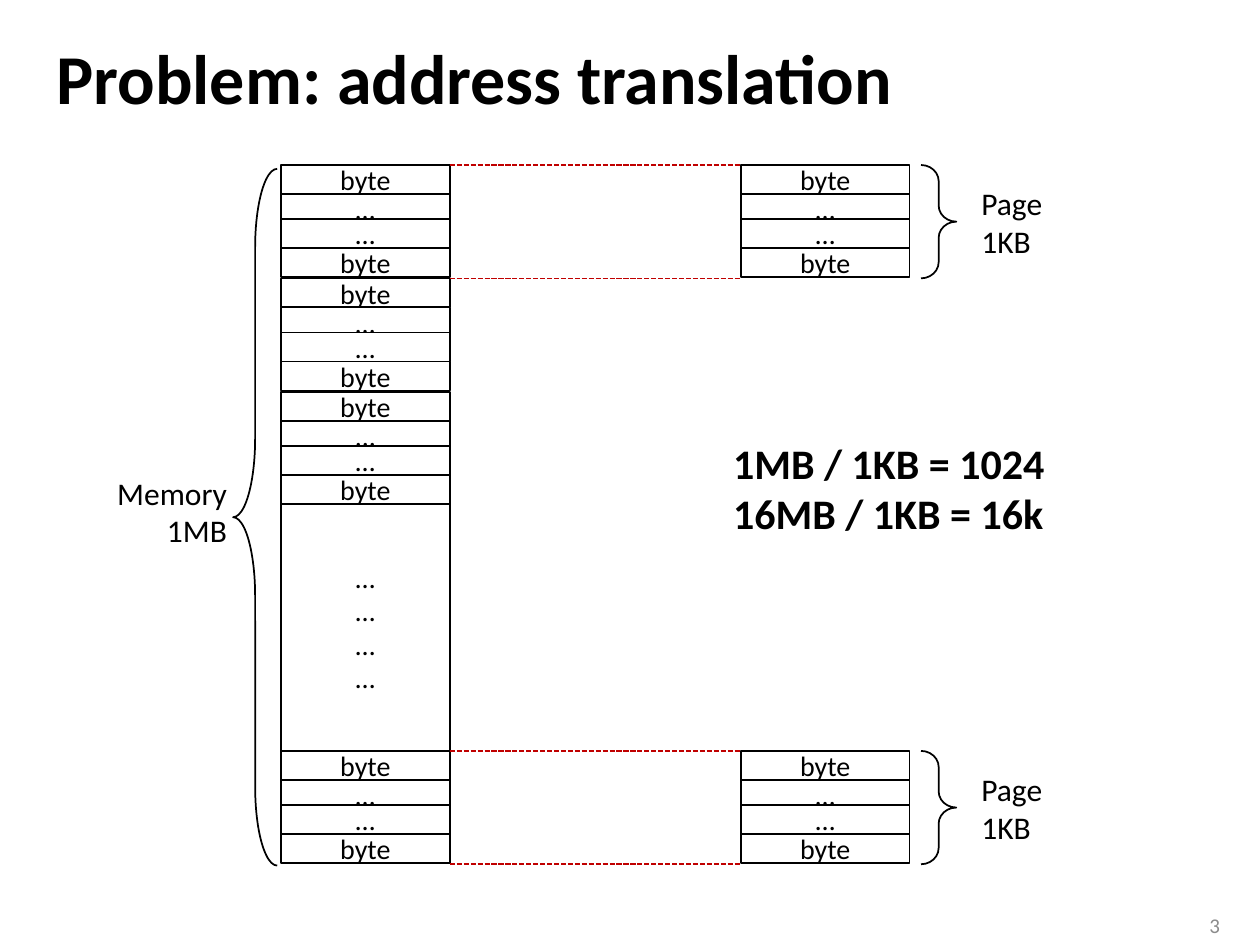
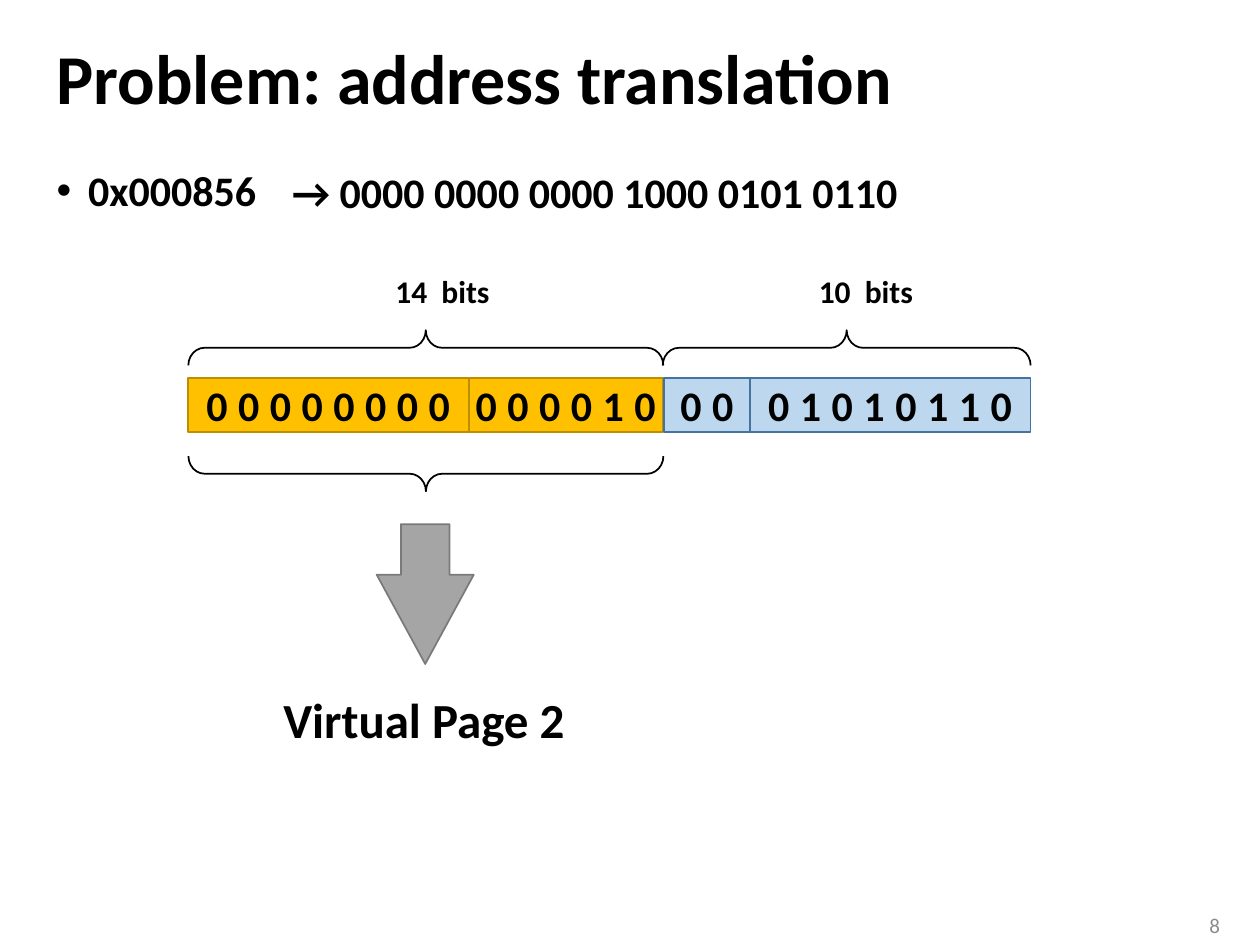
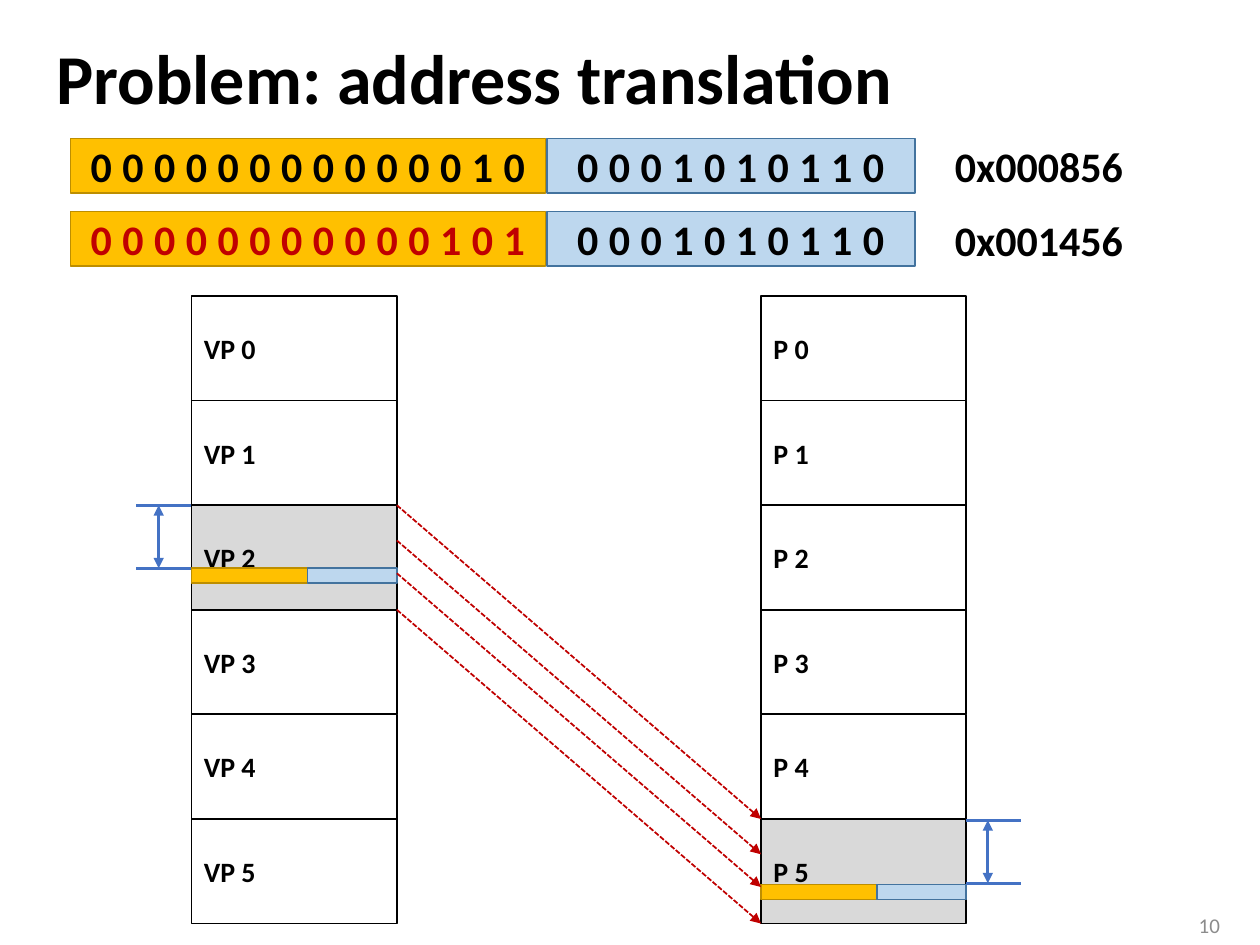
from dataclasses import dataclass

from lxml import etree
from pptx import Presentation
from pptx import util as u
from pptx.dml.color import RGBColor
from pptx.enum import dml, shapes, text
from pptx.oxml import ns


@dataclass(frozen=True)
class Theme:
    font: str = "Calibri"
    ink: str = "000000"
    paper: str = "FFFFFF"
    muted: str = "8C8C8C"
    red: str = "C00000"
    blue: str = "4472C4"
    shaded: str = "D9D9D9"
    page_bits: tuple = ("FFC000", "BD8E00")
    offset_bits: tuple = ("BDD7EE", "43739E")
    arrow: tuple = ("A5A5A5", "7A7A7A")
    title: int = 40
    result: int = 28
    body: int = 24
    label: int = 18
    cell: int = 16
    footer: int = 12


T = Theme()
KIND = shapes.MSO_SHAPE
LEFT, CENTER, RIGHT = text.PP_ALIGN.LEFT, text.PP_ALIGN.CENTER, text.PP_ALIGN.RIGHT
TOP, MIDDLE = text.MSO_ANCHOR.TOP, text.MSO_ANCHOR.MIDDLE


def block(slide, kind, box, lines=(), colors=None, size=T.cell, bold=False, ink=T.ink,
          align=LEFT, anchor=MIDDLE, wrap=True, spacing=0, adjust=(), turn=0):
    """Add a preset shape, or a plain text box when kind is None."""
    place = [u.Inches(v) for v in box]
    if kind is None:
        item = slide.shapes.add_textbox(*place)
    else:
        item = slide.shapes.add_shape(kind, *place)
        item.shadow.inherit = False
        fill, edge = colors or (None, T.ink)
        if fill:
            item.fill.solid()
            item.fill.fore_color.rgb = RGBColor.from_string(fill)
        else:
            item.fill.background()
        item.line.color.rgb = RGBColor.from_string(edge)
        item.line.width = u.Pt(1)
        for i, value in enumerate(adjust):
            item.adjustments[i] = value
        item.rotation = turn
    frame = item.text_frame
    formats = {"word_wrap": wrap, "vertical_anchor": anchor}
    if not wrap:
        formats["auto_size"] = text.MSO_AUTO_SIZE.SHAPE_TO_FIT_TEXT
    if spacing:
        formats.update(dict.fromkeys(
            ("margin_left", "margin_top", "margin_right", "margin_bottom"), 0))
    for key, value in formats.items():
        setattr(frame, key, value)
    for i, words in enumerate(lines):
        para = frame.add_paragraph() if i else frame.paragraphs[0]
        para.alignment = align
        run = para.add_run()
        run.text = words
        for key, value in {"name": T.font, "size": u.Pt(size), "bold": bold}.items():
            setattr(run.font, key, value)
        run.font.color.rgb = RGBColor.from_string(ink)
        if spacing:
            run._r.get_or_add_rPr().set("spc", str(spacing * 100))
    return item


def rule(slide, start, end, color=T.red, width=1, dashed=True, heads=()):
    """Add a straight line; heads may hold headEnd and tailEnd."""
    line = slide.shapes.add_connector(
        shapes.MSO_CONNECTOR.STRAIGHT, *[u.Inches(v) for v in (*start, *end)])
    line.line.color.rgb = RGBColor.from_string(color)
    line.line.width = u.Pt(width)
    if dashed:
        line.line.dash_style = dml.MSO_LINE.SQUARE_DOT
    for head in heads:
        etree.SubElement(line.line._get_or_add_ln(), ns.qn(f"a:{head}"), type="triangle")
    etree.SubElement(line._element.spPr, ns.qn("a:effectLst"))


deck = Presentation()
deck.slide_width, deck.slide_height = u.Inches(10), u.Inches(7.5)

# Title and page number shared by all slides
pages = []
for number in (3, 8, 10):
    page = deck.slides.add_slide(deck.slide_layouts[6])
    heading = block(page, None, (0.35, 0.19, 9.29, 0.92), ["Problem: address translation"],
                    size=T.title, bold=True)
    heading.text_frame.paragraphs[0].line_spacing = 0.9
    block(page, None, (9.27, 7.19, 0.51, 0.31), [str(number)], size=T.footer,
          ink=T.muted, align=RIGHT)
    pages.append(page)
memory, split, mapping = pages

# Memory divided into pages
MEM_X, PAGE_X, CELL_W, CELL_H = 2.23, 5.88, 1.34, 0.23
PAGE_H = 0.9
first_page, last_page = 1.31, 5.96
white = (T.paper, T.ink)
byte_rows = [(0, "byte"), (0.23, "…"), (0.43, "…"), (0.66, "byte")]
page_starts = [(MEM_X, first_page + i * PAGE_H) for i in range(3)]
page_starts += [(MEM_X, last_page), (PAGE_X, first_page), (PAGE_X, last_page)]
for i, (x, y) in enumerate(page_starts):
    for offset, words in byte_rows:
        if i == 2 and offset == 0.23:
            words = "..."
        block(memory, KIND.RECTANGLE, (x, y + offset, CELL_W, CELL_H), [words], white,
              align=CENTER)
block(memory, KIND.RECTANGLE, (MEM_X, 4, CELL_W, 1.96), ["…"] * 4, white, align=CENTER)
block(memory, KIND.LEFT_BRACE, (1.85, 1.34, 0.35, 5.53), adjust=(1.78, 0.5))
block(memory, None, (0.67, 3.71, 1.23, 0.71), ["Memory", "1MB"], size=T.label,
      align=RIGHT, anchor=TOP)

# Pages beside the memory
for y in (first_page, last_page):
    block(memory, KIND.RIGHT_BRACE, (7.31, y, 0.28, PAGE_H), adjust=(0.46, 0.5))
    block(memory, None, (7.69, y + 0.1, 1.23, 0.71), ["Page", "1KB"], size=T.label,
          anchor=TOP)
    for edge in (y, y + PAGE_H):
        rule(memory, (MEM_X + CELL_W, edge), (PAGE_X, edge))
block(memory, None, (5.72, 3.42, 2.69, 0.91), ["1MB / 1KB = 1024", "16MB / 1KB = 16k"],
      size=T.body, bold=True, anchor=TOP, wrap=False)

# Address in hexadecimal and binary
address = block(split, None, (0.35, 1.26, 9.29, 5.83), ["0x000856"], size=T.body,
                bold=True, anchor=TOP)
bullet = address.text_frame.paragraphs[0]._p.get_or_add_pPr()
bullet.set("marL", str(u.Inches(0.25)))
bullet.set("indent", str(-u.Inches(0.25)))
etree.SubElement(bullet, ns.qn("a:buFont"), typeface="Arial")
etree.SubElement(bullet, ns.qn("a:buChar"), char="•")
block(split, None, (2.22, 1.27, 5.06, 0.5), ["→ 0000 0000 0000 1000 0101 0110"],
      size=T.body, bold=True, anchor=TOP, wrap=False)

# Page number bits and offset bits
bits = dict(size=T.body, bold=True, align=CENTER, spacing=6)
BIT_H = 0.43
for x, width, digits, colors in [
    (1.49, 2.23, "00000000", T.page_bits),
    (3.72, 1.54, "000010", T.page_bits),
    (5.95, 2.23, "01010110", T.offset_bits),
    (5.27, 0.68, "00", T.offset_bits),
]:
    block(split, KIND.RECTANGLE, (x, 3, width, BIT_H), [digits], colors, **bits)
for x, y, length, turn in [(3.38, 2.76, 3.77, 270), (6.72, 2.76, 2.92, 270),
                           (3.38, 3.76, 3.77, 90)]:
    block(split, KIND.RIGHT_BRACE, (x - 0.14, y - length / 2, 0.28, length),
          adjust=(0.46, 0.5), turn=turn)
for x, words in [(3.04, "14  bits"), (6.4, "10  bits")]:
    block(split, None, (x, 2.11, 1.23, 0.4), [words], size=T.label, bold=True, anchor=TOP)

# Resulting virtual page
block(split, KIND.DOWN_ARROW, (2.99, 4.16, 0.77, 1.11), colors=T.arrow, adjust=(0.5, 0.92))
block(split, None, (2.15, 5.42, 2.46, 0.57), ["Virtual Page 2"], size=T.result, bold=True,
      anchor=TOP, wrap=False)

# Virtual and physical addresses
for y, page_digits, ink, words in [
    (1.1, "00000000000010", T.ink, "0x000856"),
    (1.68, "00000000000101", T.red, "0x001456"),
]:
    block(mapping, KIND.RECTANGLE, (4.34, y, 2.92, BIT_H), ["0001010110"], T.offset_bits,
          **bits)
    block(mapping, KIND.RECTANGLE, (0.56, y, 3.77, BIT_H), [page_digits], T.page_bits,
          ink=ink, **bits)
    block(mapping, None, (7.48, y - 0.03, 1.55, 0.5), [words], size=T.body, bold=True,
          anchor=TOP, wrap=False)

# Page columns, each with the addressed word and its offset measure
COL_TOP, COL_W, FRAME_H = 2.35, 1.63, 0.83
VIRTUAL_X, PHYSICAL_X = 1.52, 6.04
for x, prefix, used, word_y, measure_y, ticks, measure_x in [
    (VIRTUAL_X, "VP", 2, 4.51, 4.01, (1.08, 1.52), 1.26),
    (PHYSICAL_X, "P", 5, 7.02, 6.51, (7.67, 8.1), 7.84),
]:
    for i in range(6):
        block(mapping, KIND.RECTANGLE, (x, COL_TOP + i * FRAME_H, COL_W, FRAME_H),
              [f"{prefix} {i}"], (T.shaded if i == used else T.paper, T.ink), bold=True)
    block(mapping, KIND.RECTANGLE, (x, word_y, 0.92, 0.12), colors=T.page_bits)
    block(mapping, KIND.RECTANGLE, (x + 0.92, word_y, 0.71, 0.12), colors=T.offset_bits)
    measure = dict(color=T.blue, width=1.5, dashed=False)
    for y in (measure_y, measure_y + 0.5):
        rule(mapping, (ticks[0], y), (ticks[1], y), **measure)
    rule(mapping, (measure_x, measure_y), (measure_x, measure_y + 0.5),
         heads=("headEnd", "tailEnd"), **measure)

# Mapping from virtual page 2 to physical page 5
for y in (4.01, 4.29, 4.55, 4.84):
    rule(mapping, (VIRTUAL_X + COL_W, y), (PHYSICAL_X, y + 3 * FRAME_H), heads=("tailEnd",))

deck.save("out.pptx")
